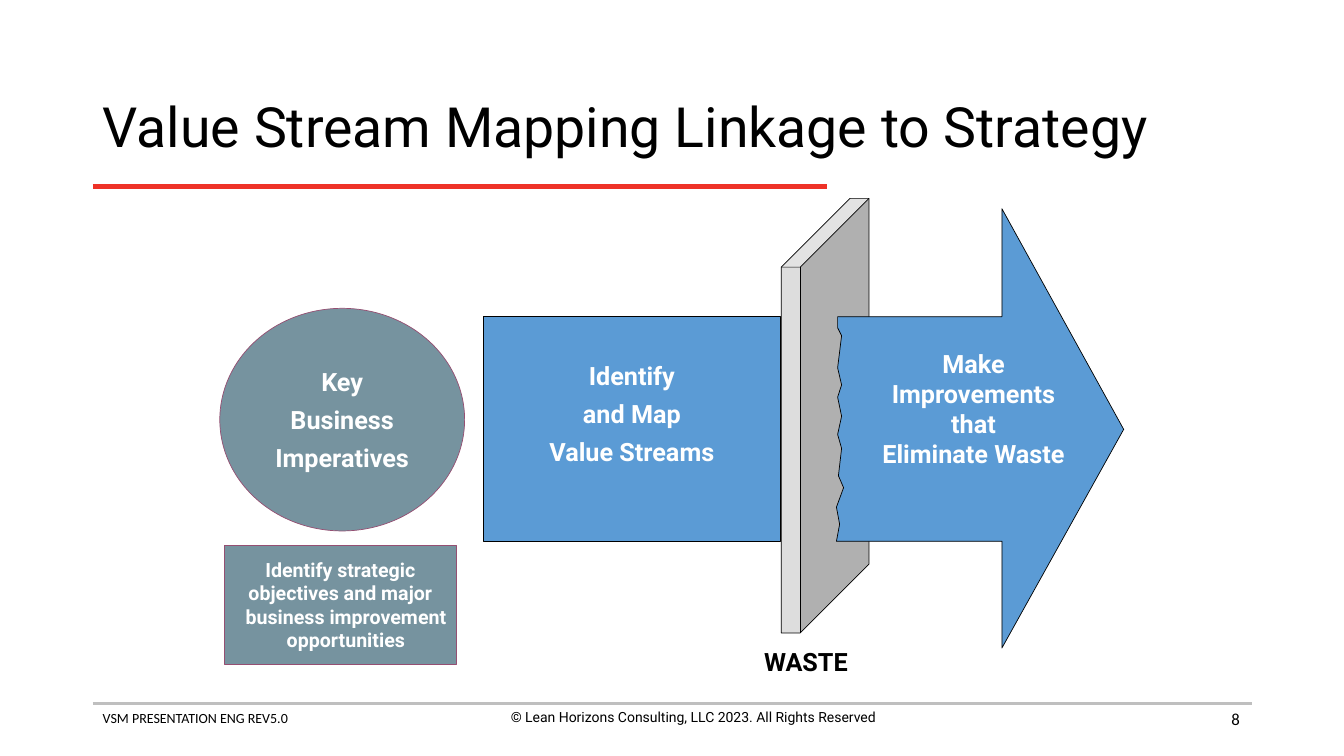
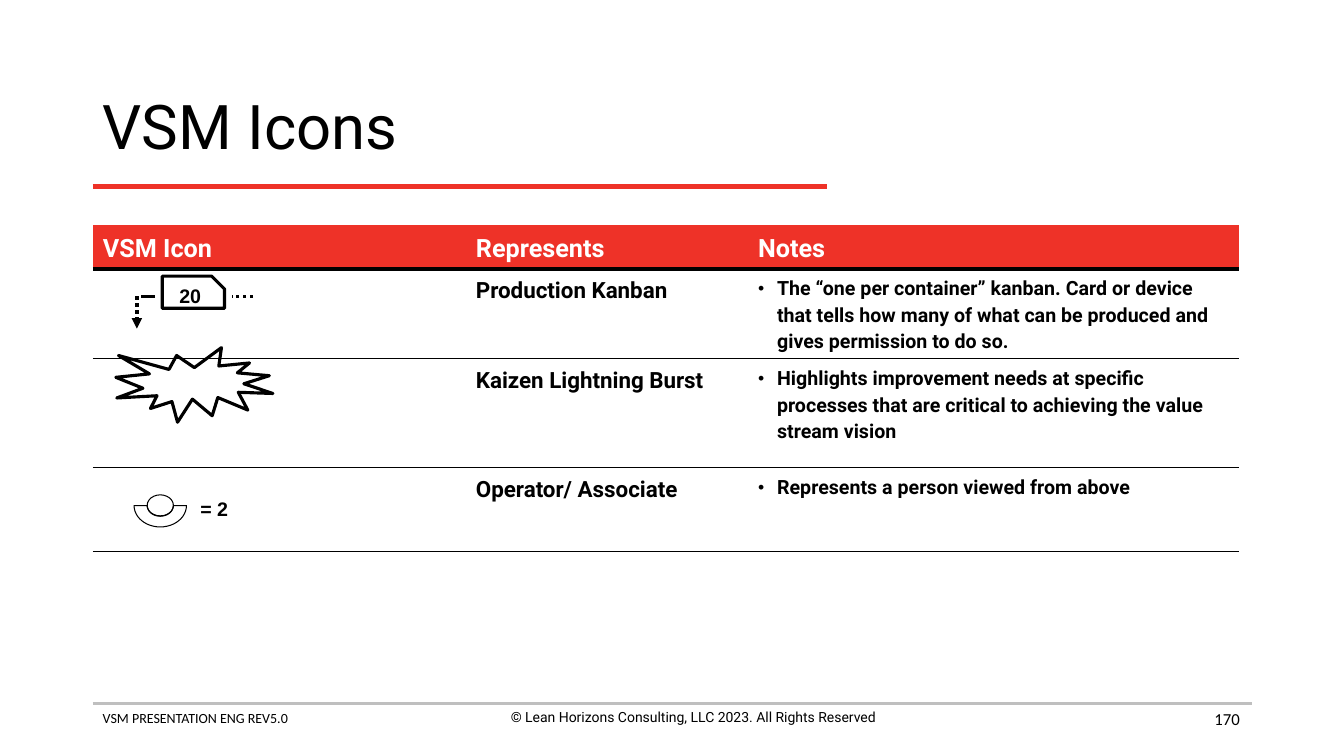
from copy import deepcopy
from dataclasses import dataclass
from math import cos, pi, sin
from typing import Any, Optional

from lxml.etree import SubElement
from pptx import Presentation
from pptx.dml.color import RGBColor
from pptx.enum.dml import MSO_LINE_DASH_STYLE as Dash
from pptx.enum.shapes import MSO_CONNECTOR as Connector, MSO_SHAPE as Preset
from pptx.enum.text import MSO_ANCHOR as Anchor, MSO_AUTO_SIZE as AutoSize, PP_ALIGN as Align
from pptx.oxml.ns import qn
from pptx.util import Cm, Pt

COLORS = {
    "black": "000000", "white": "FFFFFF", "red": "EE3228", "gray": "BFBFBF",
    "slate": "76939F", "plum": "954F72", "blue": "5B9BD5", "wall": "DDDDDD",
}
FONTS = {
    "long title": {"name": "Roboto", "size": Pt(39.6), "color": "black"},
    "title": {"name": "Roboto", "size": Pt(44), "color": "black"},
    "revision": {"name": "Calibri", "size": Pt(10), "color": "black"},
    "copyright": {"name": "Roboto", "size": Pt(10), "color": "black"},
    "number": {"name": "Calibri", "size": Pt(12), "color": "black"},
    "step": {"name": "Roboto", "size": Pt(18), "bold": True, "color": "white"},
    "caption": {"name": "Roboto", "size": Pt(18), "bold": True, "color": "black"},
    "detail": {"name": "Roboto", "size": Pt(14), "bold": True, "color": "white"},
    "term": {"name": "Roboto", "size": Pt(16), "bold": True, "color": "black"},
    "note": {"name": "Roboto", "size": Pt(14), "bold": True, "color": "black"},
    "icon": {"name": "Arial", "size": Pt(14), "bold": True, "color": "black"},
}
LEFT = 2.34
TIGHT = (0.13, 0.13, 0.13, 0.13)
ROOMY = (0.25, 0.13, 0.25, 0.13)
NO_STYLE = "{2D5ABB26-0587-4C30-8999-92F81FD0307C}"


@dataclass(frozen=True)
class Text:
    paragraphs: tuple[str, ...]
    font: str
    align: Any = Align.CENTER
    anchor: Any = Anchor.MIDDLE
    margins: tuple[float, float, float, float] = TIGHT
    wrap: bool = False
    space_before: float = 0
    hanging: float = 0


@dataclass(frozen=True)
class Block:
    box: tuple[float, float, float, float]
    preset: Any = None
    text: Optional[Text] = None
    fill: Optional[str] = None
    line: str = "black"
    width: float = 0.5
    adjustment: Optional[float] = None


@dataclass(frozen=True)
class Rule:
    start: tuple[float, float]
    end: tuple[float, float]
    width: float
    color: str = "black"
    dash: Any = None
    arrow: bool = False


def rgb(name: str) -> RGBColor:
    return RGBColor.from_string(COLORS[name])


def set_format(target: Any, values: dict[str, Any]) -> None:
    for name, value in values.items():
        if name == "color":
            target.color.rgb = rgb(value)
        else:
            setattr(target, name, value)


def set_font(paragraph: Any, font: str) -> None:
    for run in paragraph.runs:
        set_format(run.font, FONTS[font])
    for line_break in paragraph._p.findall(qn("a:br")):
        line_break.insert(0, deepcopy(paragraph.runs[0]._r.rPr))


def set_hanging(paragraph: Any, indent: float) -> None:
    properties = paragraph._p.get_or_add_pPr()
    properties.set("marL", str(Cm(indent)))
    properties.set("indent", str(-Cm(indent)))


def write_text(frame: Any, text: Text) -> None:
    left, top, right, bottom = text.margins
    set_format(frame, {
        "auto_size": AutoSize.NONE, "word_wrap": text.wrap, "vertical_anchor": text.anchor,
        "margin_left": Cm(left), "margin_top": Cm(top),
        "margin_right": Cm(right), "margin_bottom": Cm(bottom),
    })
    for index, content in enumerate(text.paragraphs):
        paragraph = frame.add_paragraph() if index else frame.paragraphs[0]
        paragraph.text = content
        paragraph.alignment = text.align
        if index and text.space_before:
            paragraph.space_before = Pt(text.space_before)
        if text.hanging:
            set_hanging(paragraph, text.hanging)
        set_font(paragraph, text.font)


def paint(shape: Any, fill: Optional[str], line: str, width: float) -> None:
    shape.shadow.inherit = False
    if fill:
        shape.fill.solid()
        shape.fill.fore_color.rgb = rgb(fill)
    else:
        shape.fill.background()
    set_format(shape.line, {"color": line, "width": Pt(width)})


def add_block(slide: Any, block: Block) -> None:
    box = [Cm(value) for value in block.box]
    if block.preset is None:
        shape = slide.shapes.add_textbox(*box)
    else:
        shape = slide.shapes.add_shape(block.preset, *box)
        paint(shape, block.fill, block.line, block.width)
    if block.adjustment is not None:
        shape.adjustments[0] = block.adjustment
    if block.text:
        write_text(shape.text_frame, block.text)


def add_rule(slide: Any, rule: Rule) -> None:
    points = [Cm(value) for value in rule.start + rule.end]
    connector = slide.shapes.add_connector(Connector.STRAIGHT, *points)
    set_format(connector.line, {"color": rule.color, "width": Pt(rule.width)})
    if rule.dash:
        connector.line.dash_style = rule.dash
    if rule.arrow:
        SubElement(connector.line._get_or_add_ln(), qn("a:tailEnd"), type="triangle")
    SubElement(connector._element.spPr, qn("a:effectLst"))


def add_outline(slide: Any, points: list[tuple[float, float]], fill: Optional[str], width: float) -> None:
    start, *others = [(Cm(x), Cm(y)) for x, y in points]
    builder = slide.shapes.build_freeform(*start, scale=1.0)
    builder.add_line_segments(others, close=True)
    paint(builder.convert_to_shape(), fill, "black", width)


def add_frame(presentation: Any, title: str, font: str, number: str) -> Any:
    slide = presentation.slides.add_slide(presentation.slide_layouts[5])
    set_format(slide.shapes.title, {
        "left": Cm(LEFT), "top": Cm(1.88), "width": Cm(29.21), "height": Cm(2.79),
    })
    write_text(slide.shapes.title.text_frame,
               Text((title,), font, Align.LEFT, margins=ROOMY, wrap=True))
    slide.shapes.title.text_frame.paragraphs[0].line_spacing = 0.9
    for rule in (Rule((LEFT, 17.73), (31.55, 17.73), 2, "gray"),
                 Rule((LEFT, 4.7), (20.83, 4.7), 3, "red")):
        add_rule(slide, rule)
    footers = (
        ((LEFT, 17.75, 11.58, 1.12), "VSM PRESENTATION ENG REV5.0", "revision", Align.LEFT, Anchor.TOP),
        ((11.68, 17.73, 11.58, 1.12), "© Lean Horizons Consulting, LLC 2023. All Rights Reserved",
         "copyright", Align.CENTER, Anchor.TOP),
        ((23.88, 17.6, 7.62, 1.02), number, "number", Align.RIGHT, Anchor.MIDDLE),
    )
    for box, content, style, align, anchor in footers:
        add_block(slide, Block(box, text=Text((content,), style, align, anchor, ROOMY, True)))
    return slide


def build_strategy(presentation: Any) -> None:
    slide = add_frame(presentation, "Value Stream Mapping Linkage to Strategy", "long title", "8")
    imperatives = Text(("Key", "Business", "Imperatives"), "step", space_before=5.7)
    streams = Text(("Identify", "and Map", "Value Streams"), "step",
                   margins=(0.13, 0.13, 0.13, 0.9), space_before=5.7)
    objectives = Text(("Identify strategic", "objectives and major\vbusiness improvement\vopportunities"),
                      "detail", hanging=0.28)
    improvements = Text(("Make\vImprovements", "that\vEliminate Waste"), "step",
                        anchor=Anchor.TOP, margins=ROOMY, wrap=True)
    for block in (
        Block((5.54, 7.77, 6.17, 5.61), Preset.OVAL, imperatives, "slate", "plum"),
        Block((12.19, 7.98, 7.47, 5.66), Preset.RECTANGLE, streams, "blue"),
        Block((19.69, 5, 2.21, 10.95), Preset.CUBE, fill="wall", adjustment=0.784),
        Block((5.66, 13.74, 5.84, 3), Preset.RECTANGLE, objectives, "slate", "plum"),
    ):
        add_block(slide, block)
    arrow_head = [(21.11, 7.98), (25.25, 7.98), (25.25, 5.26), (28.32, 10.82),
                  (25.25, 16.33), (25.25, 13.64), (21.08, 13.64)]
    torn_edge = [(21.16, 13.21), (21.08, 12.78), (21.26, 12.29), (21.13, 11.99),
                 (21.21, 11.3), (21.11, 10.95), (21.21, 10.49), (21.11, 10.01),
                 (21.21, 9.7), (21.11, 9.27), (21.21, 8.46), (21.11, 8.26)]
    add_outline(slide, arrow_head + torn_edge, "blue", 0.5)
    add_block(slide, Block((18.75, 16.28, 3.12, 0.76), text=Text(("WASTE",), "caption", wrap=True)))
    add_block(slide, Block((21.13, 8.64, 6.81, 3.33), text=improvements))


def set_bullet(paragraph: Any) -> None:
    set_hanging(paragraph, 0.48)
    properties = paragraph._p.get_or_add_pPr()
    color = SubElement(properties, qn("a:buClr"))
    SubElement(color, qn("a:srgbClr"), val=COLORS["black"])
    SubElement(properties, qn("a:buSzPct"), val="90000")
    SubElement(properties, qn("a:buFont"), typeface="Arial")
    SubElement(properties, qn("a:buChar"), char="•")


def set_bottom_border(cell: Any, width: float) -> None:
    properties = cell._tc.get_or_add_tcPr()
    border = SubElement(properties, qn("a:lnB"), w=str(Pt(width)))
    fill = SubElement(border, qn("a:solidFill"))
    SubElement(fill, qn("a:srgbClr"), val=COLORS["black"])
    properties.insert(0, border)


def add_icon_table(slide: Any) -> None:
    rows = (
        ("VSM Icon", "Represents", "Notes"),
        ("", "Production Kanban", "The “one per container” kanban. Card or device that tells how many "
         "of what can be produced and gives permission to do so."),
        ("", "Kaizen Lightning Burst", "Highlights improvement needs at specific processes that are "
         "critical to achieving the value stream vision"),
        ("", "Operator/ Associate", "Represents a person viewed from above"),
        ("", "", ""),
    )
    widths, heights, borders = (9.4, 7.11, 12.37), (1.11, 2.24, 2.75, 2.11, 2.11), (3, 1, 1, 1, 0)
    graphic = slide.shapes.add_table(len(rows), len(widths), Cm(LEFT), Cm(5.66),
                                     Cm(sum(widths)), Cm(sum(heights)))
    table = graphic.table
    table.horz_banding = False
    table._tbl.tblPr.find(qn("a:tableStyleId")).text = NO_STYLE
    for column, width in zip(table.columns, widths):
        column.width = Cm(width)
    for row_index, contents in enumerate(rows):
        header = row_index == 0
        table.rows[row_index].height = Cm(heights[row_index])
        for column_index, content in enumerate(contents):
            cell = table.cell(row_index, column_index)
            cell.vertical_anchor = Anchor.BOTTOM if header else Anchor.TOP
            if header:
                cell.fill.solid()
                cell.fill.fore_color.rgb = rgb("red")
            else:
                cell.fill.background()
            if borders[row_index]:
                set_bottom_border(cell, borders[row_index])
            if content:
                paragraph = cell.text_frame.paragraphs[0]
                paragraph.text = content
                paragraph.line_spacing = 1.15
                is_note = column_index == 2 and not header
                if is_note:
                    set_bullet(paragraph)
                set_font(paragraph, "step" if header else "note" if is_note else "term")


def build_icons(presentation: Any) -> None:
    slide = add_frame(presentation, "VSM Icons", "title", "170")
    add_icon_table(slide)
    for block in (
        Block((2.92, 8.76, 3.96, 1.88), Preset.EXPLOSION1, width=2.25),
        Block((4.09, 6.96, 1.57, 0.81), Preset.SNIP_1_RECTANGLE,
              Text(("20",), "icon", margins=(0, 0, 0, 0)), width=2.25, adjustment=0.4),
        Block((3.71, 12.47, 0.66, 0.53), Preset.OVAL, width=0.75),
        Block((4.8, 12.4, 1.22, 0.84), text=Text(("= 2",), "icon", Align.LEFT, Anchor.TOP, ROOMY)),
    ):
        add_block(slide, block)
    for rule in (
        Rule((6.38, 7.47), (5.84, 7.47), 2.5, dash=Dash.ROUND_DOT),
        Rule((3.91, 7.47), (3.45, 7.47), 2.5, dash=Dash.DASH),
        Rule((3.45, 7.47), (3.45, 8.28), 2.5, dash=Dash.ROUND_DOT, arrow=True),
    ):
        add_rule(slide, rule)
    angles = [pi * step / 24 for step in range(25)]
    outer = [(4.04 + 0.66 * cos(angle), 12.74 + 0.54 * sin(angle)) for angle in angles]
    inner = [(4.04 + 0.33 * cos(angle), 12.74 + 0.27 * sin(angle)) for angle in reversed(angles)]
    add_outline(slide, outer + inner, None, 0.75)


def main() -> None:
    presentation = Presentation()
    presentation.slide_width, presentation.slide_height = Cm(33.87), Cm(19.05)
    build_strategy(presentation)
    build_icons(presentation)
    presentation.save("out.pptx")


if __name__ == "__main__":
    main()
